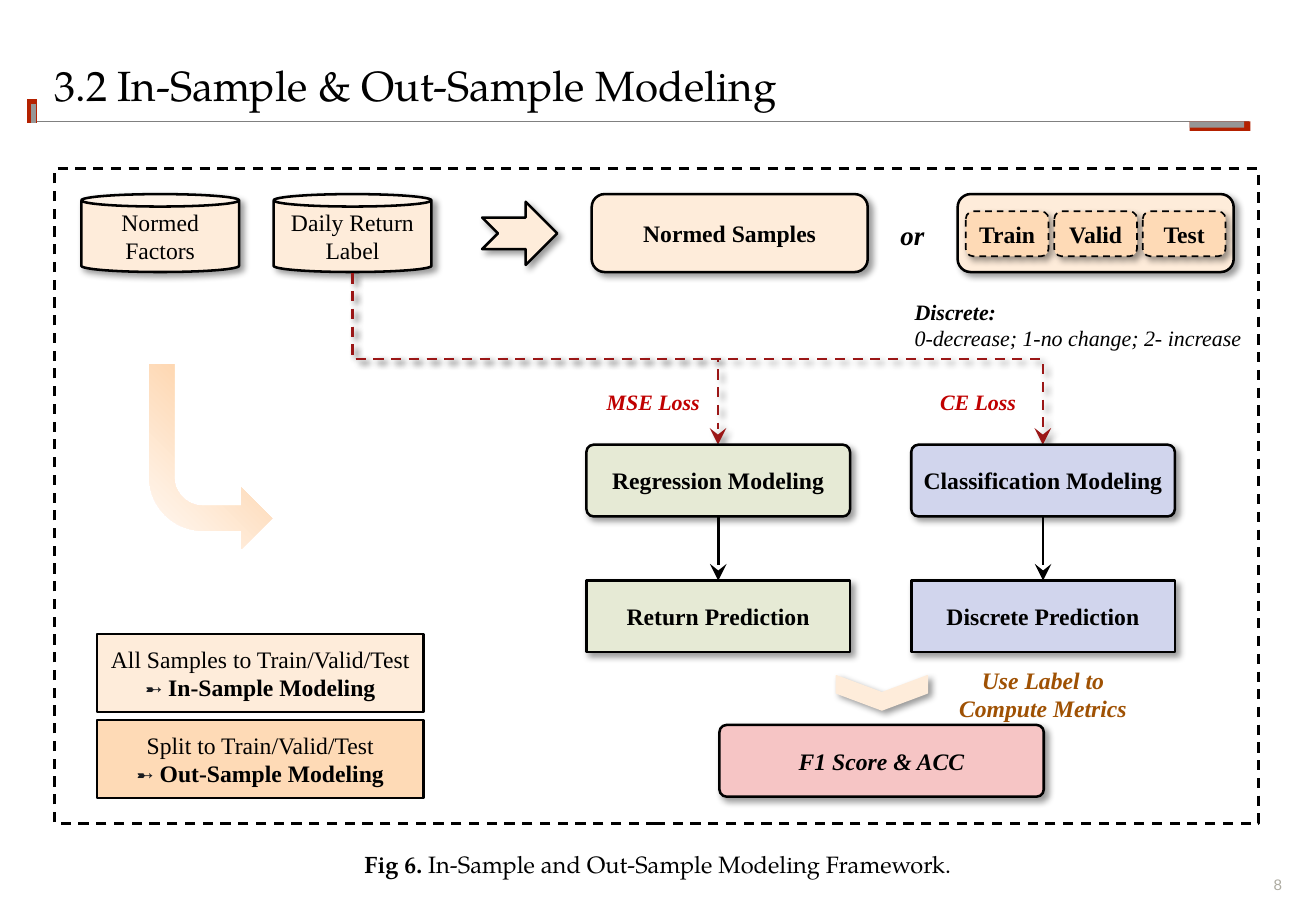
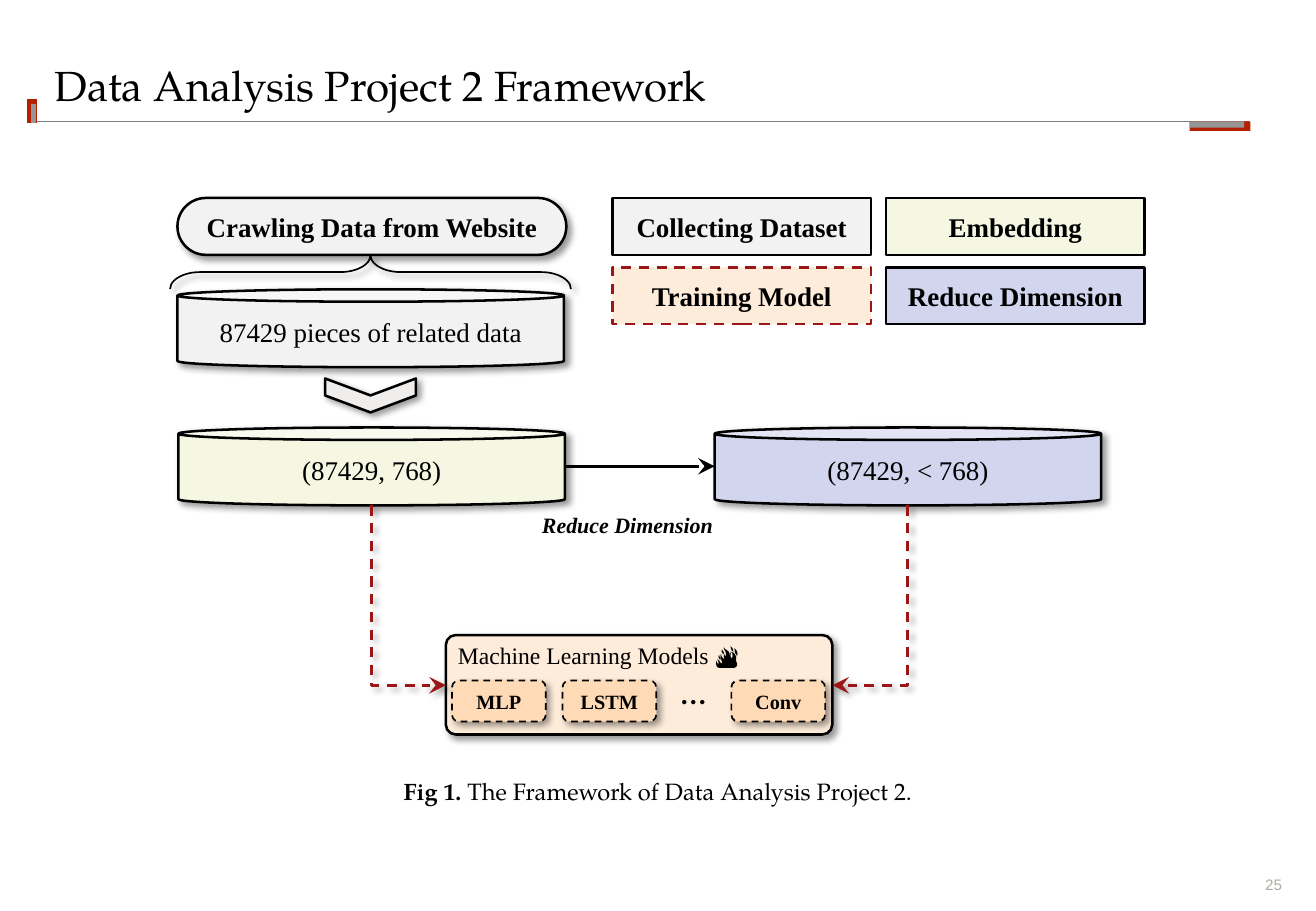
from dataclasses import dataclass, replace
from typing import NamedTuple, Optional

import lxml.etree
import pptx
import pptx.dml.color
import pptx.enum.dml
import pptx.enum.shapes
import pptx.enum.text
import pptx.oxml.ns
import pptx.util

Cm = pptx.util.Cm
Pt = pptx.util.Pt
qn = pptx.oxml.ns.qn
Kind = pptx.enum.shapes.MSO_SHAPE
Align = pptx.enum.text.PP_ALIGN
Anchor = pptx.enum.text.MSO_ANCHOR

BLACK, CRIMSON, RED, GRAY = "000000", "9B1717", "B42100", "969696"
CREAM, PEACH, GREEN, LILAC = "FEECDA", "FEDAB6", "E6EAD5", "D1D5ED"
SILVER, IVORY = "F2F2F2", "F5F7E3"


class Box(NamedTuple):
    """Place and size in centimetres."""
    left: float
    top: float
    width: float
    height: float


class Point(NamedTuple):
    x: float
    y: float


@dataclass(frozen=True)
class Type:
    size: float = 14
    bold: bool = False
    italic: bool = False
    color: str = BLACK
    font: str = "Times New Roman"


@dataclass(frozen=True)
class Look:
    fill: Optional[str] = None
    line: Optional[str] = BLACK
    width: float = 1.5
    dashed: bool = False
    shadow: bool = True


PLAIN = Type()
BOLD = Type(bold=True)
LARGE = Type(16)
LARGE_BOLD = Type(16, bold=True)
NOTE = Type(13, italic=True)
STRONG_NOTE = replace(NOTE, bold=True)
SERIF = Type(font="TeX Gyre Pagella")
CHIP = Look(PEACH, width=1, dashed=True)
LOSS_FLOW = Look(line=CRIMSON, dashed=True)
FLOW = Look(shadow=False)


def rgb(color: str):
    return pptx.dml.color.RGBColor.from_string(color)


def format_run(run, style: Type) -> None:
    font = run.font
    font.name, font.size = style.font, Pt(style.size)
    font.bold, font.italic = style.bold, style.italic
    font.color.rgb = rgb(style.color)


def write(frame, text: str, style: Type, align=Align.CENTER) -> None:
    frame.text = text
    for paragraph in frame.paragraphs:
        paragraph.alignment = align
        for run in paragraph.runs:
            format_run(run, style)


def append(paragraph, text: str, style: Type) -> None:
    run = paragraph.add_run()
    run.text = text
    format_run(run, style)


def set_margins(frame, across: float, down: float) -> None:
    frame.margin_left = frame.margin_right = Cm(across)
    frame.margin_top = frame.margin_bottom = Cm(down)


def draw_line(line, look: Look) -> None:
    line.color.rgb = rgb(look.line)
    line.width = Pt(look.width)
    if look.dashed:
        line.dash_style = pptx.enum.dml.MSO_LINE.DASH


def cast_shadow(effects) -> None:
    shadow = lxml.etree.SubElement(
        effects, qn("a:outerShdw"), blurRad=str(Pt(4)), dist=str(Pt(3)),
        dir="2700000", algn="tl", rotWithShape="0")
    color = lxml.etree.SubElement(shadow, qn("a:srgbClr"), val=BLACK)
    lxml.etree.SubElement(color, qn("a:alpha"), val="40000")


def add_shape(slide, kind, box: Box, look: Look, text: str = "", style: Type = BOLD,
              adjust: tuple = (), rotation: float = 0):
    shape = slide.shapes.add_shape(kind, *map(Cm, box))
    for index, value in enumerate(adjust):
        shape.adjustments[index] = value
    shape.rotation = rotation
    if look.fill:
        shape.fill.solid()
        shape.fill.fore_color.rgb = rgb(look.fill)
    else:
        shape.fill.background()
    if look.line:
        draw_line(shape.line, look)
    else:
        shape.line.fill.background()
    shape.shadow.inherit = False
    if look.shadow:
        cast_shadow(shape._element.spPr.find(qn("a:effectLst")))
    if text:
        frame = shape.text_frame
        frame.word_wrap = True
        frame.vertical_anchor = Anchor.MIDDLE
        set_margins(frame, 0.2, 0.13)
        write(frame, text, style)
    return shape


def add_can(slide, box: Box, fill: str, text: str, style: Type):
    return add_shape(slide, Kind.CAN, box, Look(fill), text, style, (0.16,))


def add_label(slide, box: Box, text: str, style: Type, align=Align.CENTER,
              anchor=Anchor.TOP, tight: bool = False):
    """Add a text box; a tight one has no margins and does not wrap."""
    frame = slide.shapes.add_textbox(*map(Cm, box)).text_frame
    frame.word_wrap = not tight
    frame.vertical_anchor = anchor
    if tight:
        set_margins(frame, 0, 0)
    write(frame, text, style, align)
    return frame


def add_line(slide, start: Point, end: Point, look: Look, arrow: bool = False,
             kind=pptx.enum.shapes.MSO_CONNECTOR.STRAIGHT):
    connector = slide.shapes.add_connector(kind, *map(Cm, start + end))
    draw_line(connector.line, look)
    properties = connector._element.spPr
    if arrow:
        lxml.etree.SubElement(properties.find(qn("a:ln")), qn("a:tailEnd"),
                              type="stealth", w="lg", len="lg")
    effects = lxml.etree.SubElement(properties, qn("a:effectLst"))
    if look.shadow:
        cast_shadow(effects)
    return connector


def add_elbow(slide, start: Point, end: Point, preset: str) -> None:
    """Add a dashed arrow that leaves its start downwards."""
    elbow = add_line(slide, start, end, LOSS_FLOW, True,
                     pptx.enum.shapes.MSO_CONNECTOR.ELBOW)
    run, drop = abs(end.x - start.x), end.y - start.y
    elbow.left = Cm((start.x + end.x - drop) / 2)
    elbow.top = Cm((start.y + end.y - run) / 2)
    elbow.width, elbow.height = Cm(drop), Cm(run)
    properties = elbow._element.spPr
    properties.find(qn("a:prstGeom")).set("prst", preset)
    frame = properties.find(qn("a:xfrm"))
    rightward = end.x > start.x
    frame.set("rot", "16200000" if rightward else "5400000")
    frame.set("flipH", "1" if rightward else "0")


def add_page(deck, title: str, number: int):
    """Add a slide with the shared title, rule, corner marks and number."""
    slide = deck.slides.add_slide(deck.slide_layouts[5])
    heading = slide.shapes.title
    heading.left, heading.top, heading.width, heading.height = map(Cm, (1.14, 1.02, 20.09, 1.5))
    frame = heading.text_frame
    frame.auto_size = pptx.enum.text.MSO_AUTO_SIZE.NONE
    frame.vertical_anchor = Anchor.MIDDLE
    set_margins(frame, 0, 0)
    write(frame, title, replace(SERIF, size=25), Align.LEFT)

    for start, end, color, width in (
            (Point(0.76, 2.54), Point(26.11, 2.54), "808080", 1),
            (Point(0.66, 2.57), Point(0.66, 2.06), RED, 6),
            (Point(0.71, 2.57), Point(0.71, 2.18), GRAY, 3)):
        add_line(slide, start, end, Look(line=color, width=width, shadow=False))
    for width, height, color in ((1.27, 0.2, RED), (1.14, 0.13, GRAY)):
        add_shape(slide, Kind.RECTANGLE, Box(24.87, 2.54, width, height),
                  Look(color, line=None, shadow=False))
    add_label(slide, Box(26.01, 18.31, 0.79, 0.38), str(number),
              Type(9, color="ADABA1", font="Arial"), Align.RIGHT, Anchor.BOTTOM, tight=True)
    return slide


def add_caption(slide, top: float, figure: str, text: str) -> None:
    frame = add_label(slide, Box(4.55, top, 18.41, 0.61), figure + " ",
                      replace(SERIF, bold=True), anchor=Anchor.BOTTOM, tight=True)
    append(frame.paragraphs[0], text, SERIF)


def add_turn_arrow(slide) -> None:
    arrow = add_shape(slide, Kind.BENT_ARROW, Box(3.12, 7.62, 2.57, 3.86),
                      Look(line=None, shadow=False),
                      adjust=(0.203, 0.25, 0.25, 0.438), rotation=180)
    arrow.fill.gradient()
    arrow.fill.gradient_angle = 315
    properties = arrow._element.spPr
    properties.find(qn("a:xfrm")).set("flipH", "1")
    stops = properties.find(qn("a:gradFill")).find(qn("a:gsLst"))
    stops.clear()
    for percent, color in ((0, "FFFAF6"), (74, "FED5AD"), (83, "FED5AD"), (100, "FEE3C8")):
        stop = lxml.etree.SubElement(stops, qn("a:gs"), pos=str(percent * 1000))
        lxml.etree.SubElement(stop, qn("a:srgbClr"), val=color)


def build_modeling(deck) -> None:
    slide = add_page(deck, "3.2 In-Sample & Out-Sample Modeling", 8)
    add_shape(slide, Kind.RECTANGLE, Box(1.14, 3.53, 25.17, 13.69), Look(dashed=True, shadow=False))

    for index, text in enumerate(("Normed\nFactors", "Daily Return\nLabel")):
        add_can(slide, Box(1.7 + 4.02 * index, 4.06, 3.3, 1.63), CREAM, text, PLAIN)
    add_shape(slide, Kind.NOTCHED_RIGHT_ARROW, Box(10.08, 4.22, 1.57, 1.32), Look(CREAM))
    for left, text in ((12.37, "Normed Samples"), (20.02, "")):
        add_shape(slide, Kind.ROUNDED_RECTANGLE, Box(left, 4.06, 5.77, 1.63), Look(CREAM), text)
    add_label(slide, Box(18.82, 4.57, 0.51, 0.61), "or", Type(16, True, True), tight=True)
    for index, part in enumerate(("Train", "Valid", "Test")):
        add_shape(slide, Kind.ROUNDED_RECTANGLE, Box(20.19 + 1.85 * index, 4.42, 1.73, 0.94),
                  CHIP, part)

    add_turn_arrow(slide)
    classes = add_label(slide, Box(18.87, 6.12, 7.47, 1.37), "Discrete:", STRONG_NOTE, Align.LEFT)
    append(classes.add_paragraph(), "0-decrease; 1-no change; 2- increase", NOTE)

    for index, (loss, model, prediction, fill) in enumerate((
            ("MSE Loss", "Regression Modeling", "Return Prediction", GREEN),
            ("CE Loss", "Classification Modeling", "Discrete Prediction", LILAC))):
        left = 12.26 + 6.79 * index
        add_elbow(slide, Point(7.37, 5.72), Point(left + 2.75, 9.3), "bentConnector3")
        add_label(slide, Box(left, 8, 2.79, 0.81), loss, replace(STRONG_NOTE, color="C00000"))
        modeling = add_shape(slide, Kind.ROUNDED_RECTANGLE, Box(left, 9.3, 5.51, 1.5),
                             Look(fill), model, adjust=(0.1,))
        result = add_shape(slide, Kind.RECTANGLE, Box(left, 12.14, 5.51, 1.5),
                           Look(fill), prediction)
        arrow = add_line(slide, Point(left + 2.75, 10.8), Point(left + 2.75, 12.14), FLOW, True)
        arrow.begin_connect(modeling, 2)
        arrow.end_connect(result, 0)

    add_shape(slide, Kind.CHEVRON, Box(18.08, 13.54, 0.71, 1.9),
              Look(CREAM, CREAM, 1), rotation=90)
    add_label(slide, Box(20.04, 13.92, 3.53, 1.19), "Use Label to\nCompute Metrics",
              Type(14, True, True, "9F5103"), tight=True)
    add_shape(slide, Kind.ROUNDED_RECTANGLE, Box(15.04, 15.16, 6.78, 1.5), Look("F6C5C5"),
              "F1 Score & ACC", Type(14, True, True), (0.1,))

    for index, (source, mode, fill) in enumerate((
            ("All Samples to Train/Valid/Test", "In-Sample Modeling", CREAM),
            ("Split to Train/Valid/Test", "Out-Sample Modeling", PEACH))):
        setting = add_shape(slide, Kind.RECTANGLE, Box(2.03, 13.26 + 1.8 * index, 6.83, 1.63),
                            Look(fill, shadow=False), source, PLAIN)
        paragraph = setting.text_frame.add_paragraph()
        paragraph.alignment = Align.CENTER
        append(paragraph, "➸", Type(12, color="191B1F", font="Roboto"))
        append(paragraph, " " + mode, BOLD)
    add_caption(slide, 17.75, "Fig 6.", "In-Sample and Out-Sample Modeling Framework.")


def build_framework(deck) -> None:
    slide = add_page(deck, "Data Analysis Project 2 Framework", 25)
    add_shape(slide, Kind.ROUNDED_RECTANGLE, Box(3.71, 4.14, 8.13, 1.19), Look(SILVER),
              "Crawling Data from Website", LARGE_BOLD, (0.5,))
    add_shape(slide, Kind.LEFT_BRACE, Box(7.39, 1.5, 0.71, 8.38), Look(width=1),
              adjust=(0.885, 0.5), rotation=90)
    for left, top, fill, text in (
            (3.71, 6.05, SILVER, "87429 pieces of related data"),
            (3.73, 8.94, IVORY, "(87429, 768)"),
            (14.94, 8.94, LILAC, "(87429, < 768)")):
        add_can(slide, Box(left, top, 8.08, 1.63), fill, text, LARGE)
    add_shape(slide, Kind.CHEVRON, Box(7.39, 7.32, 0.71, 1.9), Look("EFEEEC"), rotation=90)
    add_line(slide, Point(11.81, 9.75), Point(14.94, 9.75), FLOW, True)
    add_label(slide, Box(10.92, 10.57, 4.39, 0.81), "Reduce Dimension", STRONG_NOTE)

    for index, (stage, look) in enumerate((
            ("Collecting Dataset", Look(SILVER, shadow=False)),
            ("Embedding", Look(IVORY, shadow=False)),
            ("Training Model", Look(CREAM, CRIMSON, dashed=True, shadow=False)),
            ("Reduce Dimension", Look(LILAC, shadow=False)))):
        row, column = divmod(index, 2)
        add_shape(slide, Kind.RECTANGLE, Box(12.8 + 5.72 * column, 4.14 + 1.45 * row, 5.41, 1.19),
                  look, stage, LARGE_BOLD)

    add_shape(slide, Kind.ROUNDED_RECTANGLE, Box(9.32, 13.28, 8.08, 2.08), Look(CREAM),
              adjust=(0.1,))
    models = add_label(slide, Box(9.32, 13.26, 7.01, 0.86), "Machine Learning Models ", PLAIN,
                       Align.LEFT, Anchor.MIDDLE)
    append(models.paragraphs[0], "🔥", BOLD)
    for left, model in ((9.45, "MLP"), (11.76, "LSTM"), (15.29, "Conv")):
        add_shape(slide, Kind.ROUNDED_RECTANGLE, Box(left, 14.23, 1.96, 0.86), CHIP, model,
                  Type(12, bold=True))
    add_label(slide, Box(13.72, 14.23, 1.55, 0.86), "···", LARGE_BOLD, anchor=Anchor.MIDDLE)
    for start, end in ((Point(7.77, 10.57), Point(9.32, 14.33)),
                       (Point(18.97, 10.57), Point(17.4, 14.33))):
        add_elbow(slide, start, end, "bentConnector2")
    add_caption(slide, 16.23, "Fig 1.", "The Framework of Data Analysis Project 2.")


def main() -> None:
    deck = pptx.Presentation()
    deck.slide_width, deck.slide_height = Cm(27.51), Cm(19.05)
    build_modeling(deck)
    build_framework(deck)
    deck.save("out.pptx")


if __name__ == "__main__":
    main()
